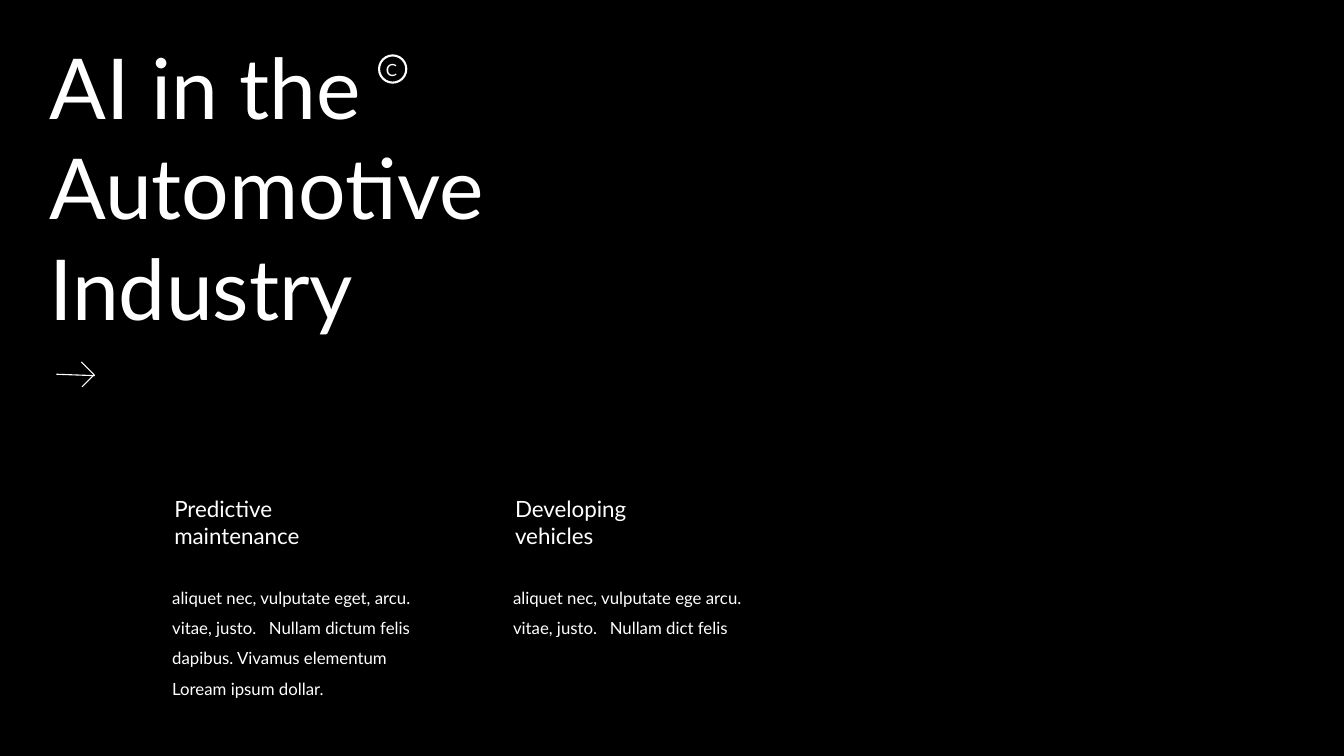
import pptx
import pptx.util
import pptx.dml.color
import pptx.enum.shapes
import pptx.oxml.ns
from lxml import etree

Inches = pptx.util.Inches
Pt = pptx.util.Pt
BLACK = pptx.dml.color.RGBColor(0x00, 0x00, 0x00)
WHITE = pptx.dml.color.RGBColor(0xFF, 0xFF, 0xFF)


class Deck:
    font = "Lato"
    color = WHITE

    def __init__(self, prs):
        self.s = prs.slides.add_slide(prs.slide_layouts[6])
        fill = self.s.background.fill
        fill.solid()
        fill.fore_color.rgb = BLACK

    def text(self, x, y, w, h, lines, size, spacing=None, tab=None):
        sp = self.s.shapes.add_textbox(Inches(x), Inches(y), Inches(w), Inches(h))
        tf = sp.text_frame
        tf.word_wrap = True
        for i, line in enumerate(lines):
            p = tf.paragraphs[0] if i == 0 else tf.add_paragraph()
            if tab and "\t" in line:
                qn = pptx.oxml.ns.qn
                tabs = etree.SubElement(p._p.get_or_add_pPr(), qn("a:tabLst"))
                etree.SubElement(tabs, qn("a:tab"), pos=str(Inches(tab)), algn="l")
            if spacing:
                p.line_spacing = spacing
            r = p.add_run()
            r.text = line
            r.font.size = Pt(size)
            r.font.name = self.font
            r.font.color.rgb = self.color

    def outline(self, sp, weight):
        sp.shadow.inherit = False
        sp.fill.background()
        sp.line.color.rgb = self.color
        sp.line.width = Pt(weight)

    def ring(self, x, y, d, weight):
        oval = pptx.enum.shapes.MSO_SHAPE.OVAL
        sp = self.s.shapes.add_shape(oval, Inches(x), Inches(y), Inches(d), Inches(d))
        self.outline(sp, weight)

    def polyline(self, points, weight, rotation=0):
        pts = [(Inches(x), Inches(y)) for x, y in points]
        fb = self.s.shapes.build_freeform(*pts[0])
        fb.add_line_segments(pts[1:], close=False)
        sp = fb.convert_to_shape()
        sp.rotation = rotation
        self.outline(sp, weight)


def main():
    prs = pptx.Presentation()
    prs.slide_width = Inches(13.33)
    prs.slide_height = Inches(7.5)
    deck = Deck(prs)

    deck.text(0.39, 0.3, 6.66, 3.13, ["AI in the Automotive", "Industry"], 60)
    deck.ring(3.76, 0.55, 0.27, 1.5)
    deck.text(3.73, 0.54, 0.27, 0.3, ["C"], 12)

    arrow_head = [(0.9, 3.8), (0.9, 3.63), (0.72, 3.63)]
    arrow_shaft = [(0.61, 3.85), (0.89, 3.59)]
    for points in (arrow_head, arrow_shaft):
        deck.polyline(points, 0.79, rotation=45)

    columns = [
        (1.61, 1.58, ["Predictive", "maintenance"],
         ["aliquet nec, vulputate eget, arcu.",
          "vitae, justo.\tNullam dictum felis",
          "dapibus. Vivamus elementum",
          "Loream ipsum dollar."]),
        (4.99, 0.98, ["Developing vehicles"],
         ["aliquet nec, vulputate ege arcu.",
          "vitae, justo.\tNullam dict felis"]),
    ]
    for x, h, heading, body in columns:
        deck.text(x + 0.02, 4.86, 1.81, 0.64, heading, 16)
        deck.text(x, 5.68, 2.83, h, body, 12, spacing=1.5, tab=0.96)

    prs.save("out.pptx")


if __name__ == "__main__":
    main()
